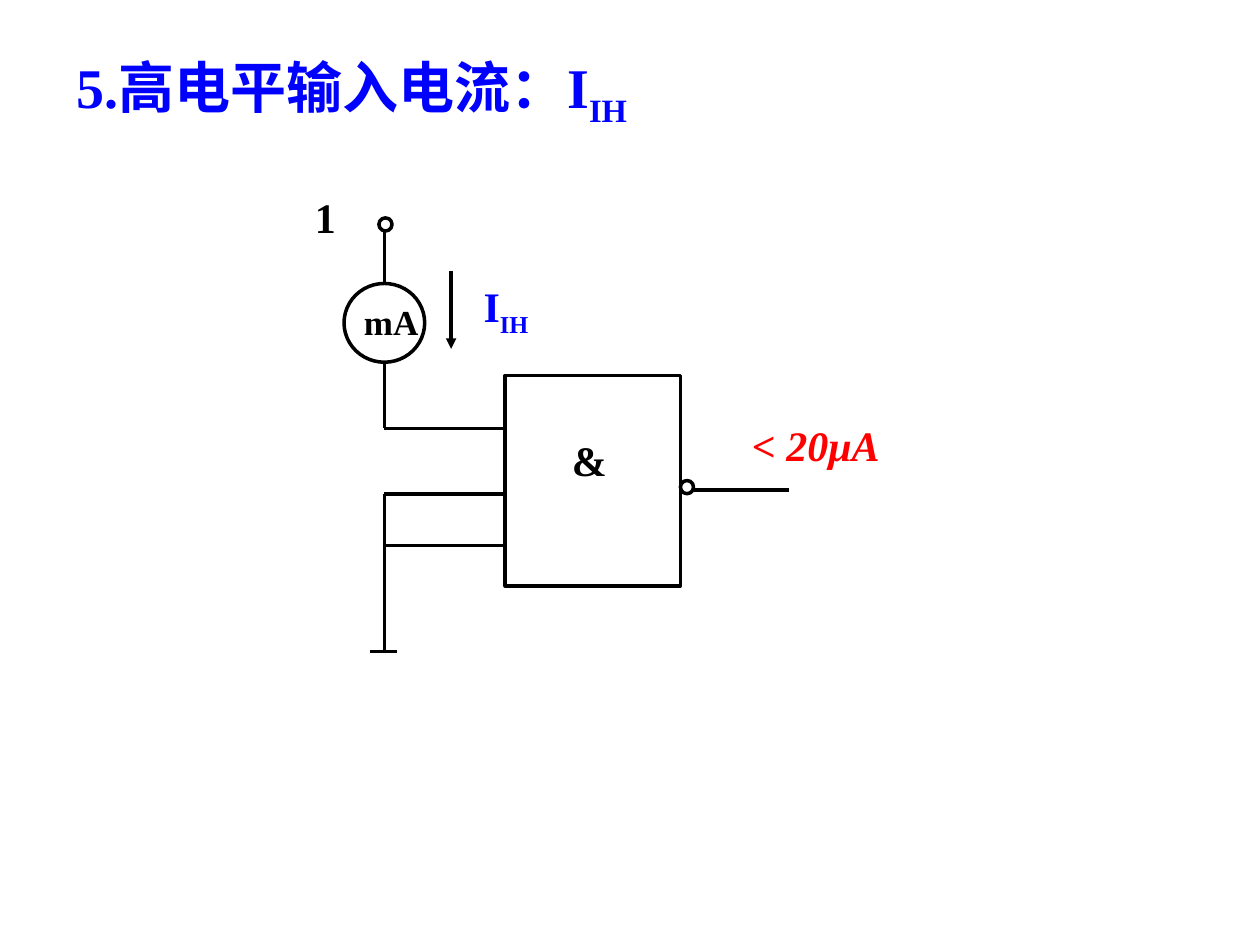
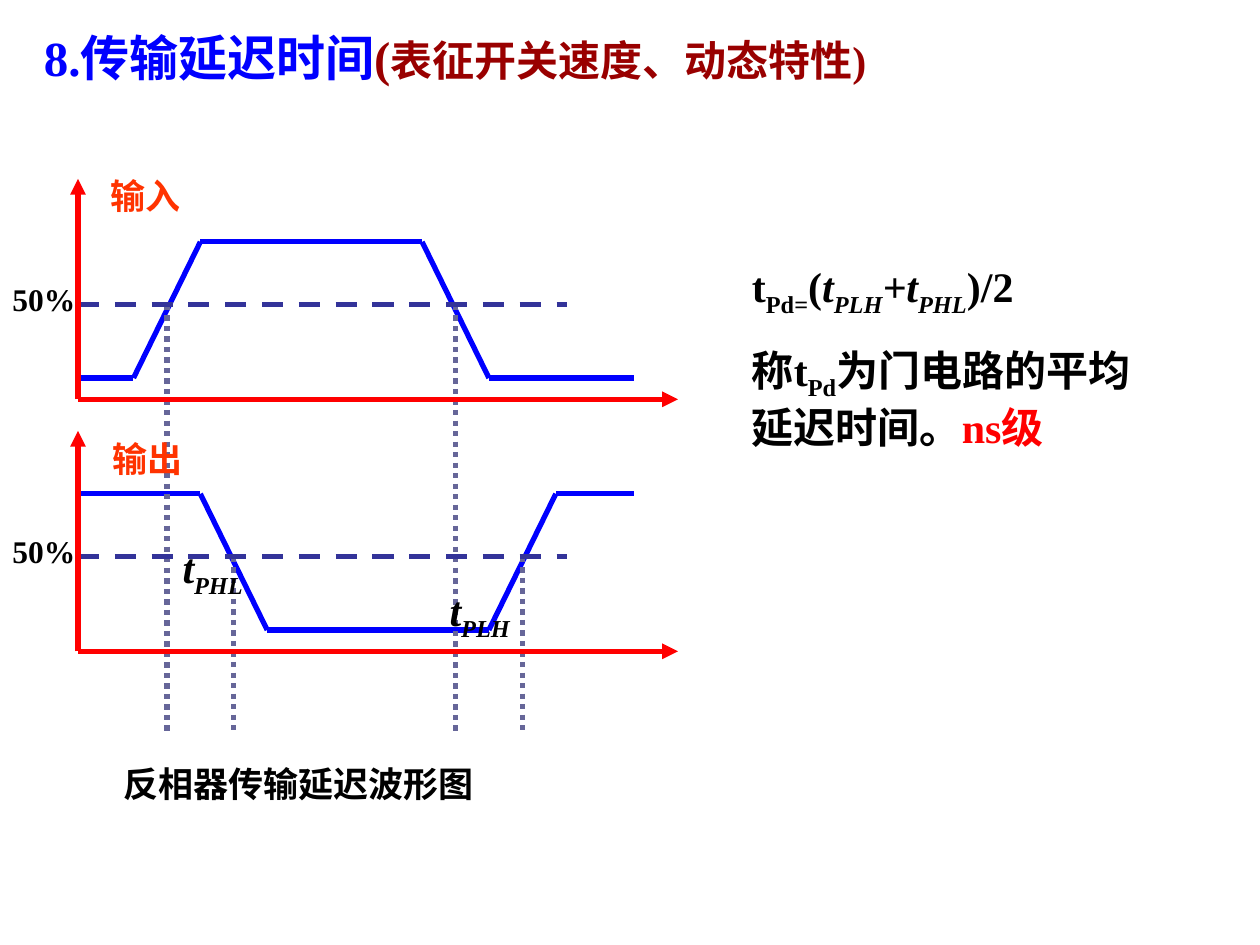
"""Builds two slides on gate input current and propagation delay."""
from dataclasses import dataclass
from itertools import pairwise
from typing import NamedTuple, Optional

from lxml.etree import SubElement
from pptx import Presentation
from pptx.dml.color import RGBColor
from pptx.enum.dml import MSO_LINE
from pptx.enum.shapes import MSO_CONNECTOR, MSO_SHAPE
from pptx.enum.text import MSO_AUTO_SIZE
from pptx.oxml.ns import qn
from pptx.util import Pt


@dataclass(frozen=True)
class Theme:
    font: str = "Times New Roman"
    black: str = "000000"
    blue: str = "0000FF"
    red: str = "FF0000"
    dark_red: str = "990000"
    orange: str = "FF3300"
    indigo: str = "333399"
    slate: str = "666699"
    title: int = 32
    long_title: int = 28
    body: int = 24
    label: int = 20
    tick: int = 18
    circuit_line: int = 2
    plot_line: int = 3


THEME = Theme()


class Span(NamedTuple):
    text: str
    color: str = THEME.black
    size: int = THEME.body
    italic: bool = False
    subscript: bool = False


class Label(NamedTuple):
    left: float
    top: float
    width: float
    height: float
    paragraphs: list
    wrap: bool = True


class Line(NamedTuple):
    start: tuple
    end: tuple
    color: str = THEME.black
    weight: int = THEME.circuit_line
    dash: Optional[MSO_LINE] = None
    arrow: bool = False


class Outline(NamedTuple):
    kind: MSO_SHAPE
    left: float
    top: float
    width: float
    height: float


def add_text(para, text: str, *, color: str, size: int, italic: bool, subscript: bool) -> None:
    span = para.add_run()
    span.text = text
    span.font.name = THEME.font
    span.font.size = Pt(size)
    span.font.bold = True
    span.font.italic = italic
    span.font.color.rgb = RGBColor.from_string(color)
    if subscript:
        span.font._element.set("baseline", "-25000")


def draw_label(page, label: Label) -> None:
    box = page.shapes.add_textbox(Pt(label.left), Pt(label.top), Pt(label.width), Pt(label.height))
    frame = box.text_frame
    frame.word_wrap = label.wrap
    frame.auto_size = MSO_AUTO_SIZE.SHAPE_TO_FIT_TEXT
    for index, spans in enumerate(label.paragraphs):
        para = frame.add_paragraph() if index else frame.paragraphs[0]
        if index:
            para.space_before = Pt(15)
        for span in spans:
            add_text(para, **span._asdict())


def draw_line(page, line: Line) -> None:
    connector = page.shapes.add_connector(
        MSO_CONNECTOR.STRAIGHT, *(Pt(value) for value in (*line.start, *line.end)))
    connector.line.color.rgb = RGBColor.from_string(line.color)
    connector.line.width = Pt(line.weight)
    if line.dash is not None:
        connector.line.dash_style = line.dash
    if line.arrow:
        SubElement(connector.line._get_or_add_ln(), qn("a:tailEnd"), type="triangle")
    SubElement(connector._element.spPr, qn("a:effectLst"))


def draw_outline(page, outline: Outline) -> None:
    shape = page.shapes.add_shape(outline.kind, *(Pt(value) for value in outline[1:]))
    shape.shadow.inherit = False
    shape.fill.background()
    shape.line.color.rgb = RGBColor.from_string(THEME.black)
    shape.line.width = Pt(THEME.circuit_line)


def build_input_current(page) -> None:
    wire_x, gate_left, gate_right = 219.6, 288.7, 388.8
    meter_top, meter_bottom = 162, 207
    signal_y, tied_y, lower_y, ground_y = 244.8, 282.2, 311.8, 372.2
    outlines = [
        Outline(MSO_SHAPE.RECTANGLE, gate_left, 214.6, gate_right - gate_left, 120.2),
        Outline(MSO_SHAPE.OVAL, gate_right, 274.6, 7.5, 7.5),
        Outline(MSO_SHAPE.OVAL, 196.6, meter_top, 46.1, meter_bottom - meter_top),
        Outline(MSO_SHAPE.OVAL, 216.5, 124.5, 7.5, 7.5),
    ]
    lines = [Line((wire_x, y), (gate_left, y)) for y in (signal_y, tied_y, lower_y)]
    lines += [
        Line((wire_x, tied_y), (wire_x, ground_y)),
        Line((211.7, ground_y), (226.8, ground_y)),
        Line((wire_x, signal_y), (wire_x, meter_bottom)),
        Line((wire_x, meter_top), (wire_x, 131.8)),
        Line((396.7, 280.1), (450.7, 280.1)),
        Line((257.8, 154.8), (257.8, 199.4), arrow=True),
    ]
    labels = [
        Label(36.7, 26.3, 396.7, 51.1, [[
            Span("5.高电平输入电流：I", THEME.blue, THEME.title),
            Span("IH", THEME.blue, THEME.title, subscript=True)]]),
        Label(200.9, 168.1, 85, 31.7, [[Span("mA", size=THEME.label)]]),
        Label(172.8, 105.8, 61.9, 36, [[Span("1")]]),
        Label(319.7, 244.8, 46.1, 36, [[Span("&")]]),
        Label(269.3, 157, 62.6, 40.3, [[
            Span("I", THEME.blue), Span("IH", THEME.blue, subscript=True)]]),
        Label(422.6, 236.2, 108, 36, [[Span("< 20μA", THEME.red, italic=True)]]),
    ]
    for outline in outlines:
        draw_outline(page, outline)
    for line in lines:
        draw_line(page, line)
    for label in labels:
        draw_label(page, label)


def build_propagation_delay(page) -> None:
    plot_gap, axis_x, axis_right = 144, 44.6, 387.4
    axis_top, axis_bottom = 102.2, 228.2
    high, half, low = 138.2, 174.2, 216
    wave_end, half_end, guide_end = 362.2, 324, 418
    edge_run, input_rise, input_fall, delay = 38.2, 76.3, 241.2, 38.2

    waves = []
    for offset, before, after, shift in ((0, low, high, 0), (plot_gap, high, low, delay)):
        corners = [(axis_x, before)]
        for edge, start, end in ((input_rise, before, after), (input_fall, after, before)):
            corners += [(edge + shift, start), (edge + shift + edge_run, end)]
        corners.append((wave_end, before))
        points = [(x, y + offset) for x, y in corners]
        waves += [Line(*ends, THEME.blue, THEME.plot_line) for ends in pairwise(points)]

    guides = [
        Line((edge + shift + edge_run / 2, half + offset),
             (edge + shift + edge_run / 2, guide_end),
             THEME.slate, THEME.plot_line, MSO_LINE.ROUND_DOT)
        for edge in (input_rise, input_fall)
        for shift, offset in ((0, 0), (delay, plot_gap))
    ]
    offsets = (0, plot_gap)
    halves = [Line((axis_x, half + offset), (half_end, half + offset),
                   THEME.indigo, THEME.plot_line, MSO_LINE.DASH) for offset in offsets]
    axes = [
        Line((axis_x, axis_bottom + offset), end, THEME.red, THEME.plot_line, arrow=True)
        for offset in offsets
        for end in ((axis_x, axis_top + offset), (axis_right, axis_bottom + offset))
    ]
    headings = [
        Label(18, 12.2, 653.8, 41, [[
            Span("8.传输延迟时间", THEME.blue, THEME.long_title),
            Span("(", THEME.dark_red, THEME.long_title),
            Span("表征开关速度、动态特性)", THEME.dark_red)]]),
        Label(422.6, 145.4, 252, 116.6, [
            [Span("t"), Span("Pd=", subscript=True), Span("("),
             Span("t", italic=True), Span("PLH", italic=True, subscript=True),
             Span("+t", italic=True), Span("PHL", italic=True, subscript=True),
             Span(")/2")],
            [Span("称t"), Span("Pd", subscript=True),
             Span("为门电路的平均延迟时间。"), Span("ns级", THEME.red)]]),
    ]
    ticks = [Label(0, 156.5 + offset, 50.4, 28.8, [[Span("50%", size=THEME.tick)]], False)
             for offset in offsets]
    delays = [
        Label(left, top, 49, 40.3, [[
            Span("t", italic=True), Span(name, italic=True, subscript=True)]], False)
        for name, left, top in (("PHL", 97.2, 306), ("PLH", 249.8, 330.5))
    ]
    captions = [
        Label(56.2, 96.1, 64, 31.7, [[Span("输入", THEME.orange, THEME.label)]]),
        Label(57.2, 246.2, 64, 31.7, [[Span("输出", THEME.orange, THEME.label)]]),
        Label(63.4, 432, 330.5, 31.7, [[Span("反相器传输延迟波形图", size=THEME.label)]]),
    ]
    for label in headings:
        draw_label(page, label)
    for line in waves + guides + halves:
        draw_line(page, line)
    for label in ticks + delays:
        draw_label(page, label)
    for line in axes:
        draw_line(page, line)
    for label in captions:
        draw_label(page, label)


def main() -> None:
    deck = Presentation()
    deck.slide_width, deck.slide_height = Pt(720), Pt(540)
    for build in (build_input_current, build_propagation_delay):
        build(deck.slides.add_slide(deck.slide_layouts[6]))
    deck.save("out.pptx")


if __name__ == "__main__":
    main()
